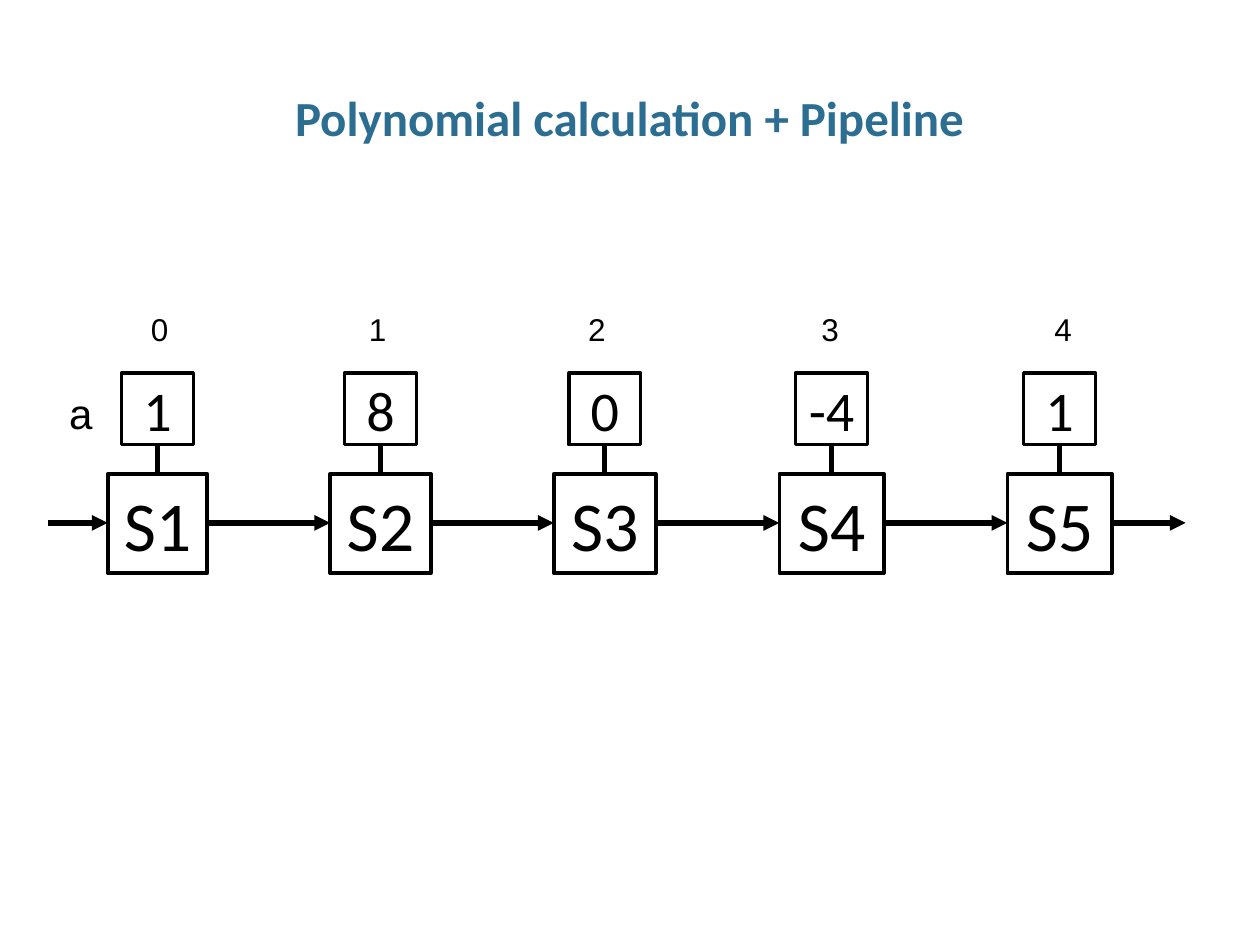
from dataclasses import dataclass

from lxml import etree
from pptx import Presentation
from pptx.dml.color import RGBColor
from pptx.enum.shapes import MSO_CONNECTOR, MSO_SHAPE
from pptx.enum.text import MSO_ANCHOR, PP_ALIGN
from pptx.oxml.ns import qn
from pptx.util import Inches, Pt

STRAIGHT = MSO_CONNECTOR.STRAIGHT
RECTANGLE = MSO_SHAPE.RECTANGLE
TOP, MIDDLE = MSO_ANCHOR.TOP, MSO_ANCHOR.MIDDLE
LEFT, CENTER = PP_ALIGN.LEFT, PP_ALIGN.CENTER


@dataclass(frozen=True)
class Theme:
    ink: RGBColor = RGBColor(0x00, 0x00, 0x00)
    accent: RGBColor = RGBColor(0x2C, 0x6D, 0x92)
    heading_font: str = "Calibri"
    label_font: str = "Arial"
    title_size: int = 28
    stage_size: int = 40
    coefficient_size: int = 32
    row_label_size: int = 24
    index_size: int = 18
    box_line: int = 2
    link_line: int = 3


THEME = Theme()
SLIDE_WIDTH, SLIDE_HEIGHT = 10, 7.5

# Rows of the diagram, in inches
INDEX_TOP, INDEX_HEIGHT, INDEX_WIDTH = 2.41, 0.4, 0.34
COEFFICIENT_TOP, COEFFICIENT_SIDE = 2.96, 0.57
STAGE_TOP, STAGE_HEIGHT = 3.76, 0.79
FLOW_Y = 4.15
FLOW_START, FLOW_END = 0.38, 9.41

# Columns: coefficient, stage centre, stage width, index centre
STAGES = [
    ("1", 1.25, 0.79, 1.27),
    ("8", 3.02, 0.80, 3.00),
    ("0", 4.80, 0.81, 4.74),
    ("-4", 6.60, 0.83, 6.59),
    ("1", 8.41, 0.83, 8.44),
]


def write(shape, text, size, font, color=THEME.ink, align=CENTER, bold=False):
    frame = shape.text_frame
    frame.text = text
    paragraph = frame.paragraphs[0]
    paragraph.alignment = align
    run_font = paragraph.runs[0].font
    run_font.size, run_font.name, run_font.bold = Pt(size), font, bold
    run_font.color.rgb = color
    return paragraph


def add_title(slide, text):
    box = slide.shapes.add_textbox(
        Inches(0.34), Inches(0.68), Inches(SLIDE_WIDTH - 0.69), Inches(0.5))
    frame = box.text_frame
    frame.word_wrap = True
    frame.vertical_anchor = TOP
    frame.margin_left = frame.margin_right = 0
    paragraph = write(box, text, THEME.title_size, THEME.heading_font,
                      THEME.accent, bold=True)
    paragraph.line_spacing = 0.95


def add_label(slide, left, top, width, height, text, size):
    label = slide.shapes.add_textbox(
        Inches(left), Inches(top), Inches(width), Inches(height))
    label.text_frame.word_wrap = False
    write(label, text, size, THEME.label_font, align=LEFT)


def add_box(slide, center, top, width, height, text, size):
    """Draw an outlined box centred on a column."""
    box = slide.shapes.add_shape(
        RECTANGLE, Inches(center - width / 2), Inches(top),
        Inches(width), Inches(height))
    box.shadow.inherit = False
    box.fill.background()
    box.line.color.rgb = THEME.ink
    box.line.width = Pt(THEME.box_line)
    box.text_frame.word_wrap = False
    box.text_frame.vertical_anchor = MIDDLE
    write(box, text, size, THEME.heading_font)


def add_link(slide, start, end, arrow=False):
    link = slide.shapes.add_connector(
        STRAIGHT, *(Inches(value) for value in (*start, *end)))
    link.line.color.rgb = THEME.ink
    link.line.width = Pt(THEME.link_line)
    if arrow:
        etree.SubElement(link.line._get_or_add_ln(), qn("a:tailEnd"),
                         type="triangle")
    etree.SubElement(link._element.spPr, qn("a:effectLst"))


def add_stage(slide, number, coefficient, center, width, index_center):
    """Draw one column: index, coefficient, stage and the link between them."""
    add_label(slide, index_center - INDEX_WIDTH / 2, INDEX_TOP, INDEX_WIDTH,
              INDEX_HEIGHT, str(number), THEME.index_size)
    add_box(slide, center, COEFFICIENT_TOP, COEFFICIENT_SIDE, COEFFICIENT_SIDE,
            coefficient, THEME.coefficient_size)
    add_box(slide, center, STAGE_TOP, width, STAGE_HEIGHT,
            f"S{number + 1}", THEME.stage_size)
    add_link(slide, (center, STAGE_TOP),
             (center, COEFFICIENT_TOP + COEFFICIENT_SIDE))


def add_flow(slide):
    """Draw arrows into, between and out of the stages."""
    starts = [FLOW_START] + [c + w / 2 for _, c, w, _ in STAGES]
    ends = [c - w / 2 for _, c, w, _ in STAGES] + [FLOW_END]
    for start, end in zip(starts, ends):
        add_link(slide, (start, FLOW_Y), (end, FLOW_Y), arrow=True)


def main():
    deck = Presentation()
    deck.slide_width, deck.slide_height = Inches(SLIDE_WIDTH), Inches(SLIDE_HEIGHT)
    slide = deck.slides.add_slide(deck.slide_layouts[6])
    add_title(slide, "Polynomial calculation + Pipeline")
    add_label(slide, 0.45, 3.03, 0.39, 0.5, "a", THEME.row_label_size)
    for number, stage in enumerate(STAGES):
        add_stage(slide, number, *stage)
    add_flow(slide)
    deck.save("out.pptx")


if __name__ == "__main__":
    main()
